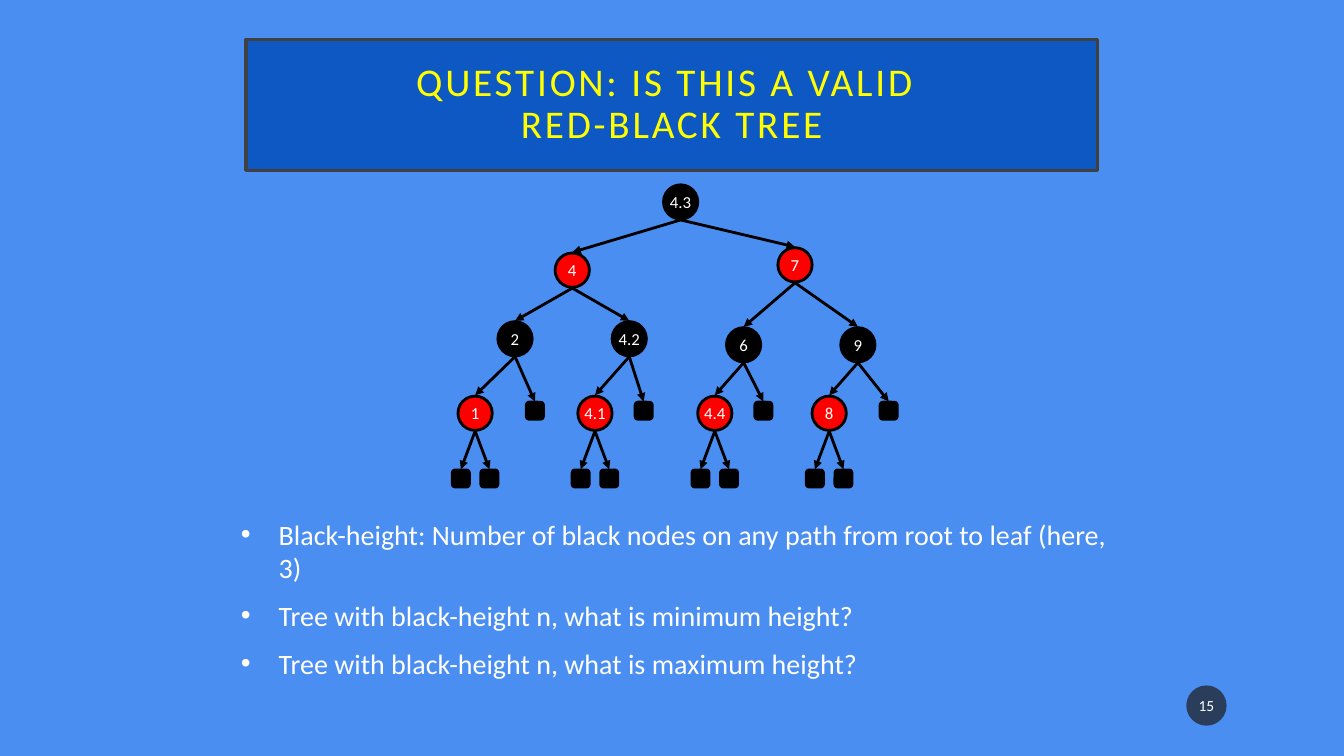
import pptx
import pptx.util
import pptx.dml.color
import pptx.enum.shapes
import pptx.enum.text
import pptx.oxml
import pptx.oxml.ns

Pt = pptx.util.Pt
RGB = pptx.dml.color.RGBColor.from_string
Shape = pptx.enum.shapes.MSO_SHAPE
Align = pptx.enum.text.PP_ALIGN
Anchor = pptx.enum.text.MSO_ANCHOR
Fit = pptx.enum.text.MSO_AUTO_SIZE


class Theme:
    font = "Calibri"
    back, panel, frame = "4A8EF2", "0E58C4", "404040"
    black, red, badge = "000000", "FF0000", "1D1D1D"
    text, head = "FFFFFF", "FFFF00"
    title, body, node, page = 28, 20, 12, 11
    line, edge = 2, 2.5


def put(item, form):
    for name, value in form.items():
        setattr(item, name, value)


def add(parent, tag, **attrs):
    child = pptx.oxml.parse_xml(f"<a:{tag} {pptx.oxml.ns.nsdecls('a')}/>")
    for name, value in attrs.items():
        child.set(name, value)
    parent.append(child)
    return child


class Deck:
    def __init__(self, theme):
        self.theme = theme
        self.file = pptx.Presentation()
        put(self.file, {"slide_width": Pt(960), "slide_height": Pt(540)})
        self.slide = self.file.slides.add_slide(self.file.slide_layouts[1])
        self.fill(self.slide.background, theme.back)

    def fill(self, item, color):
        item.fill.solid()
        item.fill.fore_color.rgb = RGB(color)

    def place(self, item, box):
        put(item, dict(zip(("left", "top", "width", "height"), map(Pt, box))))

    def line(self, item, color, width):
        item.line.color.rgb = RGB(color)
        item.line.width = Pt(width)

    def style(self, para, size, color, form):
        put(para, form)
        for run in para.runs:
            put(run.font, {"name": self.theme.font, "size": Pt(size)})
            run.font.color.rgb = RGB(color)

    def title(self, text, box):
        item, theme = self.slide.shapes.title, self.theme
        self.place(item, box)
        self.fill(item, theme.panel)
        self.line(item, theme.frame, theme.edge)
        frame = item.text_frame
        frame.text = text
        sides = ("left", "top", "right", "bottom")
        put(frame, {f"margin_{side}": Pt(14.4) for side in sides})
        put(frame, {"vertical_anchor": Anchor.MIDDLE, "auto_size": Fit.NONE})
        para = frame.paragraphs[0]
        self.style(para, theme.title, theme.head,
                   {"alignment": Align.CENTER, "line_spacing": 0.9})
        for run in para.runs:
            run.font._element.set("spc", "200")

    def list(self, lines, box):
        item, theme = self.slide.placeholders[1], self.theme
        self.place(item, box)
        frame = item.text_frame
        frame.text = "\n".join(lines)
        put(frame, {"vertical_anchor": Anchor.TOP, "auto_size": Fit.NONE})
        for spot, para in enumerate(frame.paragraphs):
            props = para._p.get_or_add_pPr()
            put(props, {"marL": Pt(18), "indent": -Pt(18)})
            add(add(props, "buClr"), "srgbClr", val=theme.text)
            add(props, "buFont", typeface="Arial")
            add(props, "buChar", char="•")
            self.style(para, theme.body, theme.text,
                       {"line_spacing": 1.0, "space_after": Pt(0),
                        "space_before": Pt(10 if spot else 0)})

    def shape(self, kind, x, y, size, color, text="", point=12):
        box = (x - size / 2, y - size / 2, size, size)
        item = self.slide.shapes.add_shape(kind, *map(Pt, box))
        item.shadow.inherit = False
        self.fill(item, color)
        self.line(item, self.theme.black, self.theme.line)
        if text:
            frame = item.text_frame
            frame.text = text
            put(frame, {"vertical_anchor": Anchor.MIDDLE, "word_wrap": False})
            self.style(frame.paragraphs[0], point, self.theme.text,
                       {"alignment": Align.CENTER})
        return item

    def badge(self, text, x, y, size):
        theme = self.theme
        item = self.shape(Shape.OVAL, x, y, size, theme.badge, text, theme.page)
        item.line.fill.background()
        color = item.fill._xPr.find(".//" + pptx.oxml.ns.qn("a:srgbClr"))
        add(color, "alpha", val="70000")

    def arrow(self, *ends):
        kind = pptx.enum.shapes.MSO_CONNECTOR.STRAIGHT
        item = self.slide.shapes.add_connector(kind, *map(Pt, ends))
        self.line(item, self.theme.black, self.theme.line)
        add(item.line._get_or_add_ln(), "tailEnd", type="triangle")
        add(item._element.spPr, "effectLst")

    def node(self, text, x, y, color):
        self.shape(Shape.OVAL, x, y, 24.5, color, text, self.theme.node)

    def leaf(self, x, y):
        self.shape(Shape.ROUNDED_RECTANGLE, x, y, 12.2, self.theme.black)


def main():
    theme = Theme()
    deck = Deck(theme)

    # Title
    deck.title("QUESTION: IS THIS A VALID \vRED-BLACK TREE",
               (175.7, 28.1, 608.4, 93.6))

    # Tree nodes: label -> centre, colour, parent
    black, red = theme.black, theme.red
    tree = {
        "4.3": (486.2, 144.3, black, None),
        "4": (408.8, 193, red, "4.3"),
        "7": (567.9, 189.2, red, "4.3"),
        "2": (367.9, 242, black, "4"),
        "4.2": (449.5, 242, black, "4"),
        "6": (531.2, 246.3, black, "7"),
        "9": (612.8, 246.3, black, "7"),
        "1": (339.4, 295.2, red, "2"),
        "4.1": (425, 295.2, red, "4.2"),
        "4.4": (510.6, 295.2, red, "6"),
        "8": (592.3, 295.2, red, "9"),
    }
    gap = 12.8
    for text, (x, y, color, parent) in tree.items():
        deck.node(text, x, y, color)
        if parent:
            px, py = tree[parent][:2]
            deck.arrow(px, py + gap, x, y - gap)

    # Empty leaves: one beside each lowest red node, two below it
    leaves = [("2", 382.1, 293.4), ("4.2", 459.8, 293.4),
              ("6", 545.3, 293.4), ("9", 634.8, 293.4)]
    for text in ("1", "4.1", "4.4", "8"):
        leaves += [(text, tree[text][0] + step, 341.8) for step in (-10.2, 10.2)]
    for parent, x, y in leaves:
        px, py = tree[parent][:2]
        deck.leaf(x, y)
        deck.arrow(px, py + gap, x, y - 6.6)

    # Questions
    deck.list(["Black-height: Number of black nodes on any path from root to leaf (here, 3)",
               "Tree with black-height n, what is minimum height?",
               "Tree with black-height n, what is maximum height?"],
              (164.9, 365.8, 632.9, 149.8))

    # Slide number
    deck.badge("15", 861.8, 504, 28.8)
    deck.file.save("out.pptx")


if __name__ == "__main__":
    main()
